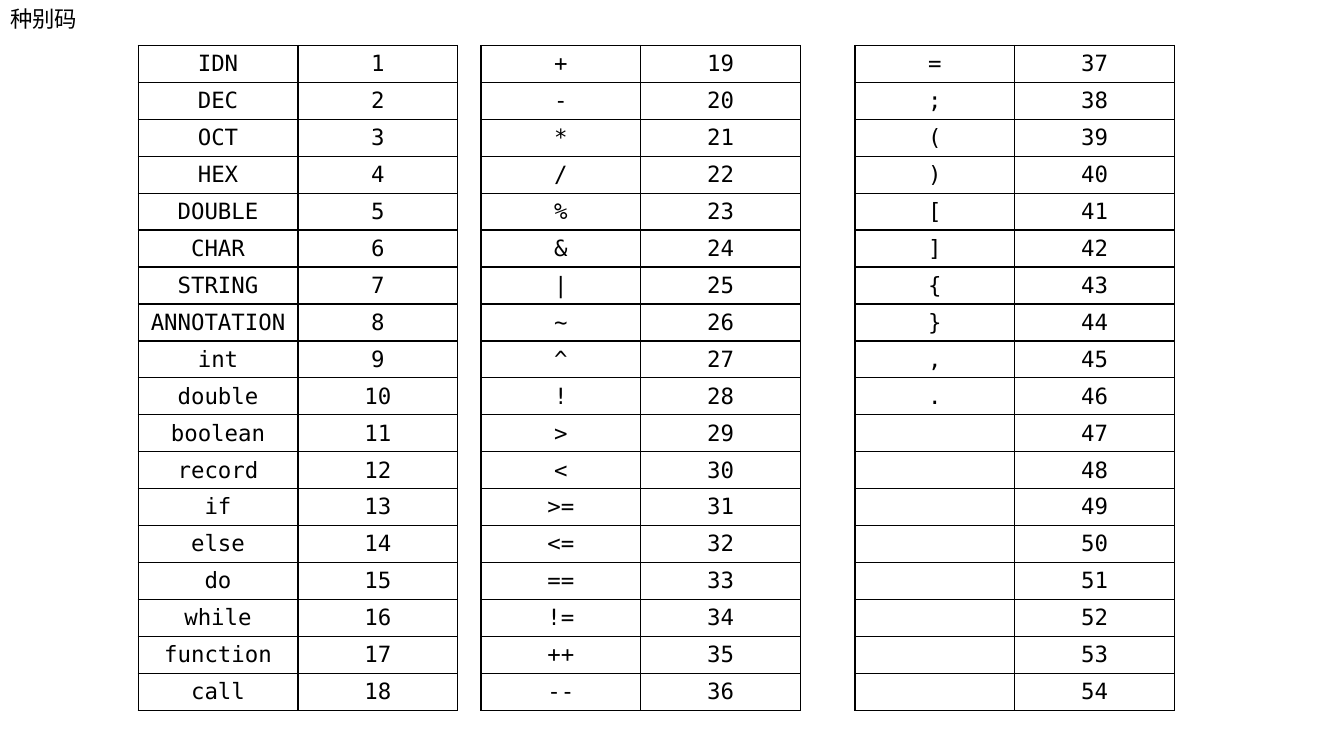
from pptx import Presentation
from pptx.dml.color import RGBColor
from pptx.enum import text
from pptx.oxml import parse_xml
from pptx.oxml.ns import nsdecls
from pptx.util import Inches, Pt

# Content
TITLE = "种别码"
TOKEN_GROUPS = [
    ["IDN", "DEC", "OCT", "HEX", "DOUBLE", "CHAR", "STRING", "ANNOTATION", "int",
     "double", "boolean", "record", "if", "else", "do", "while", "function", "call"],
    ["+", "-", "*", "/", "%", "&", "|", "~", "^",
     "!", ">", "<", ">=", "<=", "==", "!=", "++", "--"],
    ["=", ";", "(", ")", "[", "]", "{", "}", ",", "."],
]

# Layout and format
ROWS = 18
TABLE_LEFTS = [1.37, 4.77, 8.48]
TABLE_TOP, TABLE_WIDTH, TABLE_HEIGHT = 0.45, 3.17, 6.6
COLORS = {"ink": "000000"}
FONT = {"name": "DejaVu Sans Mono", "size": Pt(16), "bold": False}
CELL = {"margin_top": Inches(0.03), "margin_bottom": Inches(0.03),
        "vertical_anchor": text.MSO_ANCHOR.MIDDLE}
TITLE_BOX = {"left": Inches(0), "top": Inches(0),
             "width": Inches(2.02), "height": Inches(0.37)}
TITLE_FRAME = {"word_wrap": True, "vertical_anchor": text.MSO_ANCHOR.MIDDLE,
               "auto_size": text.MSO_AUTO_SIZE.SHAPE_TO_FIT_TEXT}


def set_all(obj, values):
    for name, value in values.items():
        setattr(obj, name, value)


def write(tf, content, align):
    p = tf.paragraphs[0]
    p.alignment = align
    r = p.add_run()
    r.text = content
    set_all(r.font, FONT)
    r.font.color.rgb = RGBColor.from_string(COLORS["ink"])


def add_borders(cell):
    tcPr = cell._tc.get_or_add_tcPr()
    for side in ("lnL", "lnR", "lnT", "lnB"):
        tcPr.append(parse_xml(
            f'<a:{side} {nsdecls("a")} w="{Pt(1)}"><a:solidFill>'
            f'<a:srgbClr val="{COLORS["ink"]}"/></a:solidFill></a:{side}>'))


def add_code_table(slide, left, tokens, first_code):
    table = slide.shapes.add_table(
        ROWS, 2, Inches(left), Inches(TABLE_TOP),
        Inches(TABLE_WIDTH), Inches(TABLE_HEIGHT)).table
    set_all(table, {"first_row": False, "horz_banding": False})
    for i in range(ROWS):
        token = tokens[i] if i < len(tokens) else ""
        for j, content in enumerate((token, str(first_code + i))):
            cell = table.cell(i, j)
            set_all(cell, CELL)
            add_borders(cell)
            cell.fill.background()
            if content:
                write(cell.text_frame, content, text.PP_ALIGN.CENTER)


def main():
    prs = Presentation()
    set_all(prs, {"slide_width": Inches(13.33), "slide_height": Inches(7.5)})
    slide = prs.slides.add_slide(prs.slide_layouts[5])

    # Title
    title = slide.shapes.title
    set_all(title, TITLE_BOX)
    set_all(title.text_frame, TITLE_FRAME)
    write(title.text_frame, TITLE, text.PP_ALIGN.LEFT)

    # Token tables, numbered on from one to the next
    for n, (left, tokens) in enumerate(zip(TABLE_LEFTS, TOKEN_GROUPS)):
        add_code_table(slide, left, tokens, n * ROWS + 1)

    prs.save("out.pptx")


if __name__ == "__main__":
    main()
